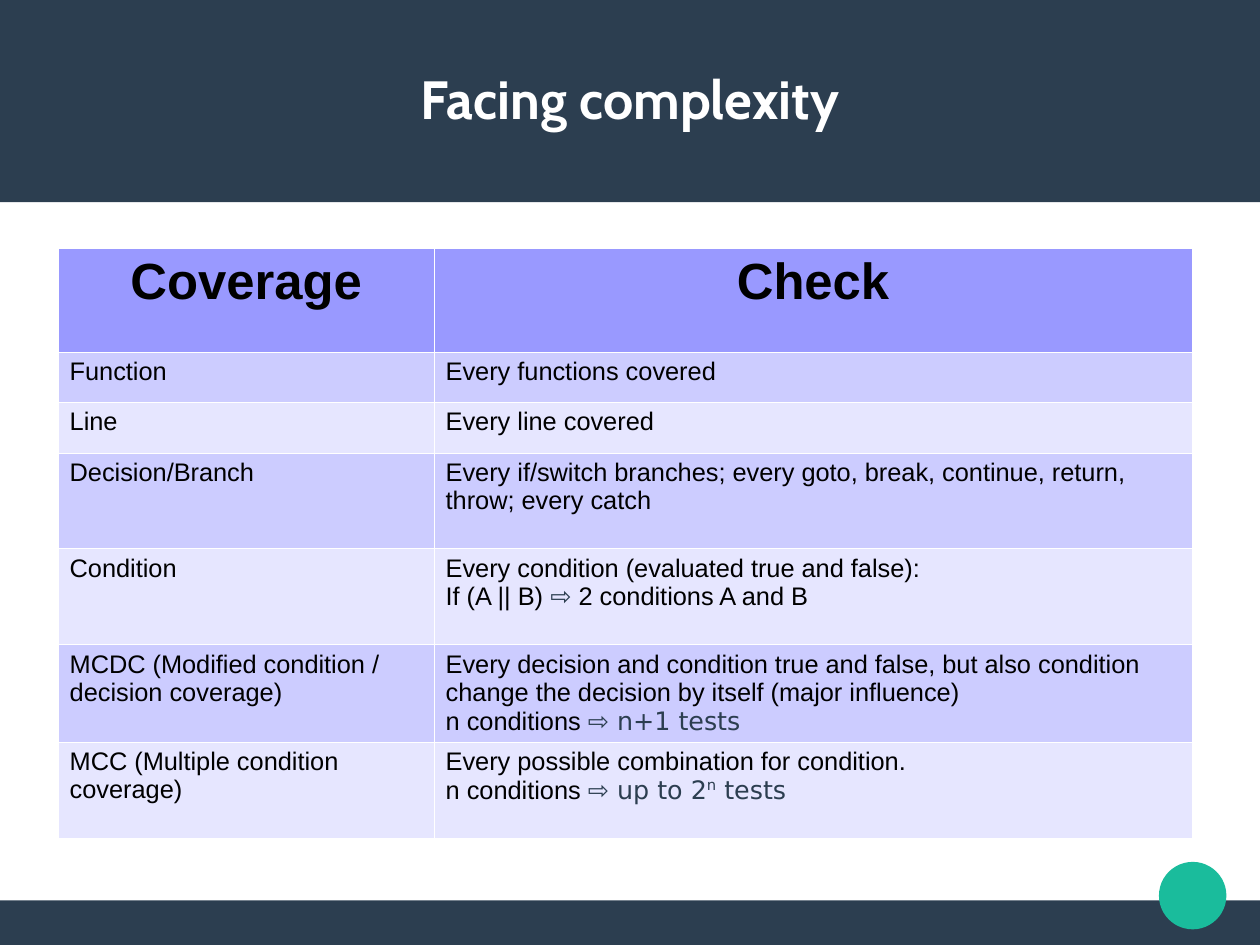
from dataclasses import dataclass

from lxml.etree import SubElement
from pptx import Presentation
from pptx.dml.color import RGBColor
from pptx.enum.shapes import MSO_SHAPE as Shape
from pptx.enum.text import MSO_ANCHOR as Anchor, MSO_AUTO_SIZE as AutoSize, PP_ALIGN as Align
from pptx.oxml import parse_xml
from pptx.oxml.ns import nsdecls
from pptx.util import Inches, Pt

TITLE = "Facing complexity"
HEADINGS = ["Coverage", "Check"]
# A cell is a list of paragraphs, a paragraph a list of (text, style) spans.
ROWS = [
    ([[("Function", "body")]], [[("Every functions covered", "body")]]),
    ([[("Line", "body")]], [[("Every line covered", "body")]]),
    ([[("Decision/Branch", "body")]],
     [[("Every if/switch branches; every goto, break, continue, return, throw; "
        "every catch", "body")]]),
    ([[("Condition", "body")]],
     [[("Every condition (evaluated true and false):", "body")],
      [("If (A || B) ", "body"), ("⇨", "accent"), (" 2 conditions A and B", "body")]]),
    ([[("MCDC (Modified condition / decision coverage)", "body")]],
     [[("Every decision and condition true and false, but also condition change "
        "the decision by itself (major influence)", "body")],
      [("n conditions ", "body"), ("⇨ n+1 tests", "accent")]]),
    ([[("MCC (Multiple condition coverage)", "body")]],
     [[("Every possible combination for condition.", "body")],
      [("n conditions ", "body"), ("⇨ up to 2", "accent"), ("n", "power"),
       (" tests", "accent")]]),
]

# The slide is measured in points, everything on it in inches.
SLIDE_WIDTH, SLIDE_HEIGHT = Pt(793.75), Pt(595.25)
WIDTH, HEIGHT = SLIDE_WIDTH.inches, SLIDE_HEIGHT.inches
HEADER_HEIGHT, FOOTER_HEIGHT = 1.77, 0.39
DOT = 0.59
TABLE_LEFT, TABLE_TOP = 0.51, 2.17
COLUMN_WIDTHS = [3.29, 6.63]
ROW_HEIGHTS = [0.91, 0.44, 0.44, 0.84, 0.84, 0.85, 0.84]


@dataclass(frozen=True)
class Theme:
    navy: str = "2C3E50"
    green: str = "1ABC9C"
    white: str = "FFFFFF"
    black: str = "000000"
    heading_fill: str = "9999FF"
    bands: tuple = ("CCCCFF", "E6E6FF")
    title_size: float = 33.9
    heading_size: float = 32
    body_size: float = 16
    border: float = 0.06


THEME = Theme()
# Style: font, size, colour, bold
STYLES = {
    "title": ("Cabin", THEME.title_size, THEME.white, True),
    "heading": ("Arial", THEME.heading_size, THEME.black, True),
    "body": ("Arial", THEME.body_size, THEME.black, False),
    "accent": ("DejaVu Sans", THEME.body_size, THEME.navy, False),
    "power": ("DejaVu Sans", THEME.body_size, THEME.navy, False),
}


def paint(target, colour):
    target.fill.solid()
    target.fill.fore_color.rgb = RGBColor.from_string(colour)


def style_span(span, style):
    font = span.font
    font.name, size, colour, font.bold = STYLES[style]
    font.size = Pt(size)
    font.color.rgb = RGBColor.from_string(colour)
    if style == "power":
        font._element.set("baseline", "33000")


def add_decoration(page, kind, left, top, width, height, colour):
    shape = page.shapes.add_shape(kind, *map(Inches, (left, top, width, height)))
    paint(shape, colour)
    shape.line.fill.background()
    shape.shadow.inherit = False


def add_title(page):
    title = page.shapes.title
    title.left, title.top = Inches(0.39), Inches(0.33)
    title.width, title.height = Inches(WIDTH - 2 * 0.39), Inches(1.05)
    frame = title.text_frame
    frame.text = TITLE
    frame.auto_size = AutoSize.NONE
    frame.vertical_anchor = Anchor.MIDDLE
    frame.margin_left = frame.margin_right = frame.margin_top = frame.margin_bottom = 0
    frame.paragraphs[0].alignment = Align.CENTER
    style_span(frame.paragraphs[0].runs[0], "title")
    # The title stands in front of the header band.
    title.element.getparent().append(title.element)


def add_borders(cell):
    properties = cell._tc.get_or_add_tcPr()
    for index, side in enumerate("LRTB"):
        line = parse_xml(f'<a:ln{side} {nsdecls("a")} w="{Pt(THEME.border)}"/>')
        fill = SubElement(line, "{%s}solidFill" % line.nsmap["a"])
        SubElement(fill, "{%s}srgbClr" % line.nsmap["a"], val=THEME.white)
        properties.insert(index, line)


def fill_cell(cell, paragraphs, colour, alignment):
    paint(cell, colour)
    add_borders(cell)
    cell.margin_left = cell.margin_right = Inches(0.1)
    cell.margin_top = cell.margin_bottom = Inches(0.05)
    frame = cell.text_frame
    frame.text = "\n".join("" for _ in paragraphs)
    for para, spans in zip(frame.paragraphs, paragraphs):
        para.alignment = alignment
        for text, style in spans:
            span = para.add_run()
            span.text = text
            style_span(span, style)


def add_coverage_table(page):
    size = (sum(COLUMN_WIDTHS), sum(ROW_HEIGHTS))
    table = page.shapes.add_table(
        len(ROW_HEIGHTS), len(COLUMN_WIDTHS),
        *map(Inches, (TABLE_LEFT, TABLE_TOP, *size))).table
    table.first_row = table.horz_banding = False
    for column, width in zip(table.columns, COLUMN_WIDTHS):
        column.width = Inches(width)
    for row, height in zip(table.rows, ROW_HEIGHTS):
        row.height = Inches(height)
    for column, heading in enumerate(HEADINGS):
        fill_cell(table.cell(0, column), [[(heading, "heading")]],
                  THEME.heading_fill, Align.CENTER)
    for number, row in enumerate(ROWS):
        for column, paragraphs in enumerate(row):
            fill_cell(table.cell(number + 1, column), paragraphs,
                      THEME.bands[number % 2], Align.LEFT)


def main():
    deck = Presentation()
    deck.slide_width, deck.slide_height = SLIDE_WIDTH, SLIDE_HEIGHT
    page = deck.slides.add_slide(deck.slide_layouts.get_by_name("Title Only"))
    paint(page.background, THEME.white)
    add_decoration(page, Shape.RECTANGLE, 0, HEIGHT - FOOTER_HEIGHT,
                   WIDTH, FOOTER_HEIGHT, THEME.navy)
    add_decoration(page, Shape.RECTANGLE, 0, 0, WIDTH, HEADER_HEIGHT, THEME.navy)
    add_decoration(page, Shape.OVAL, 10.14, 7.54, DOT, DOT, THEME.green)
    add_title(page)
    add_coverage_table(page)
    deck.save("out.pptx")


if __name__ == "__main__":
    main()
